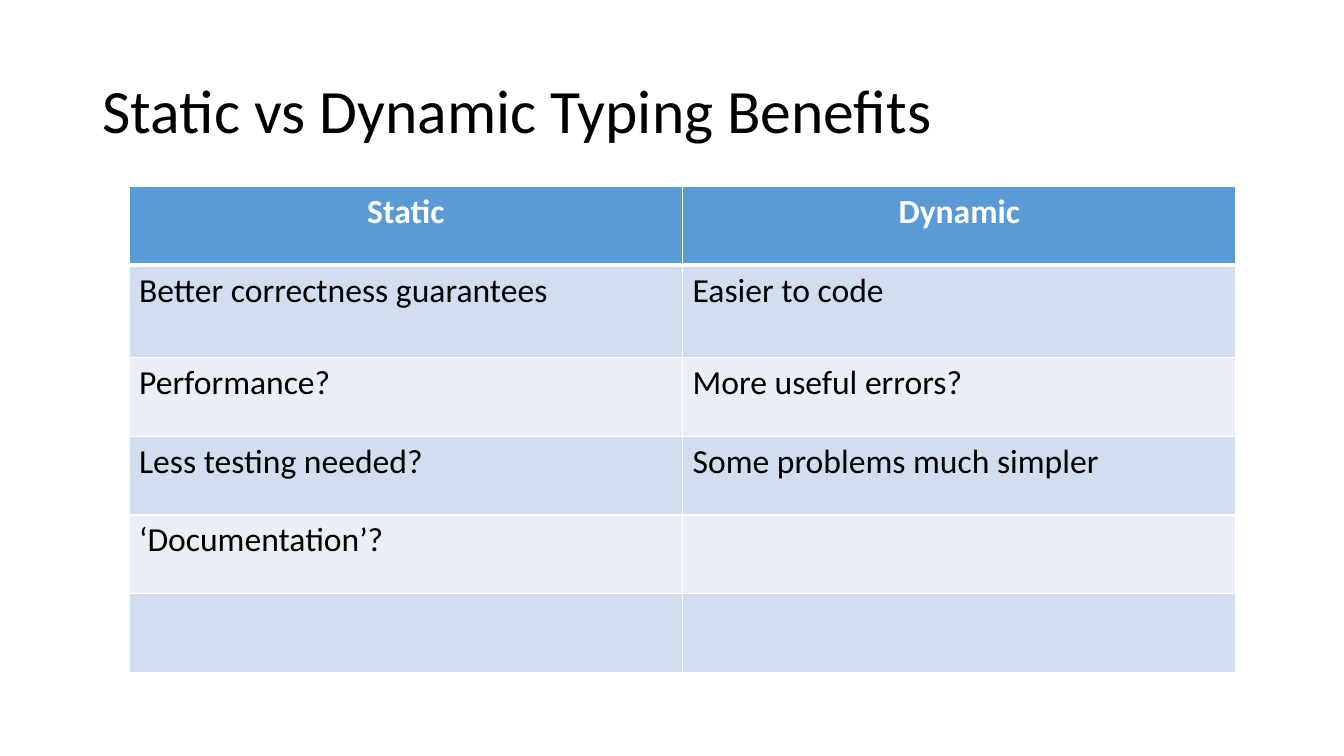
from dataclasses import dataclass
from typing import Any

import pptx
import pptx.dml.color
import pptx.enum.text
import pptx.oxml
import pptx.oxml.ns
import pptx.util

Inches = pptx.util.Inches
Pt = pptx.util.Pt
RGB = pptx.dml.color.RGBColor.from_string
PP_ALIGN = pptx.enum.text.PP_ALIGN
MSO_ANCHOR = pptx.enum.text.MSO_ANCHOR


@dataclass(frozen=True)
class Theme:
    """Colours, font and type sizes of the slide."""
    font: str = "Calibri"
    text: str = "000000"
    light: str = "FFFFFF"
    header: str = "5B9BD5"
    bands: tuple[str, str] = ("D2DEEF", "EAEFF7")
    title_size: int = 44
    cell_size: int = 24
    rule: int = 1
    header_rule: int = 3


@dataclass(frozen=True)
class Benefit:
    """One table row: a benefit of each kind of typing."""
    static: str = ""
    dynamic: str = ""
    height: float = 0.78


THEME = Theme()
BENEFITS = [
    Benefit("Static", "Dynamic"),
    Benefit("Better correctness guarantees", "Easier to code", 0.92),
    Benefit("Performance?", "More useful errors?"),
    Benefit("Less testing needed?", "Some problems much simpler"),
    Benefit("‘Documentation’?"),
    Benefit(),
]


def write(p: Any, text: str, size: int, color: str, bold: bool = False) -> None:
    """Add one formatted run to a paragraph."""
    r = p.add_run()
    r.text = text
    for name, value in {"name": THEME.font, "size": Pt(size), "bold": bold}.items():
        setattr(r.font, name, value)
    r.font.color.rgb = RGB(color)


def add_title(slide: Any, text: str) -> None:
    """Add the slide title."""
    sp = slide.shapes.add_textbox(Inches(0.92), Inches(0.4), Inches(11.5), Inches(1.45))
    tf = sp.text_frame
    for name, value in {"word_wrap": True, "vertical_anchor": MSO_ANCHOR.MIDDLE}.items():
        setattr(tf, name, value)
    p = tf.paragraphs[0]
    p.line_spacing = 0.9
    write(p, text, THEME.title_size, THEME.text)


def set_borders(cell: Any, top: int, bottom: int) -> None:
    """Rule all four sides of a cell, with widths in points."""
    tc_pr = cell._tc.get_or_add_tcPr()
    widths = {"L": THEME.rule, "R": THEME.rule, "T": top, "B": bottom}
    for i, (side, width) in enumerate(widths.items()):
        tc_pr.insert(i, pptx.oxml.parse_xml(
            f'<a:ln{side} {pptx.oxml.ns.nsdecls("a")} w="{Pt(width)}">'
            f'<a:solidFill><a:srgbClr val="{THEME.light}"/></a:solidFill></a:ln{side}>'))


def add_benefits(slide: Any, benefits: list[Benefit]) -> None:
    """Add the table, a header row followed by banded rows."""
    height = sum(benefit.height for benefit in benefits)
    table = slide.shapes.add_table(len(benefits), 2, Inches(1.28), Inches(1.85),
                                   Inches(10.98), Inches(height)).table
    for i, benefit in enumerate(benefits):
        table.rows[i].height = Inches(benefit.height)
        is_header = i == 0
        fill = THEME.header if is_header else THEME.bands[(i - 1) % 2]
        color = THEME.light if is_header else THEME.text
        top = THEME.header_rule if i == 1 else THEME.rule
        bottom = THEME.header_rule if is_header else THEME.rule
        for cell, text in zip(table.rows[i].cells, (benefit.static, benefit.dynamic)):
            cell.fill.solid()
            cell.fill.fore_color.rgb = RGB(fill)
            set_borders(cell, top, bottom)
            if text:
                p = cell.text_frame.paragraphs[0]
                p.alignment = PP_ALIGN.CENTER if is_header else PP_ALIGN.LEFT
                write(p, text, THEME.cell_size, color, is_header)


def main() -> None:
    """Build and save the slide."""
    prs = pptx.Presentation()
    prs.slide_width, prs.slide_height = Inches(13.33), Inches(7.5)
    slide = prs.slides.add_slide(prs.slide_layouts[6])
    add_title(slide, "Static vs Dynamic Typing Benefits")
    add_benefits(slide, BENEFITS)
    prs.save("out.pptx")


main()
